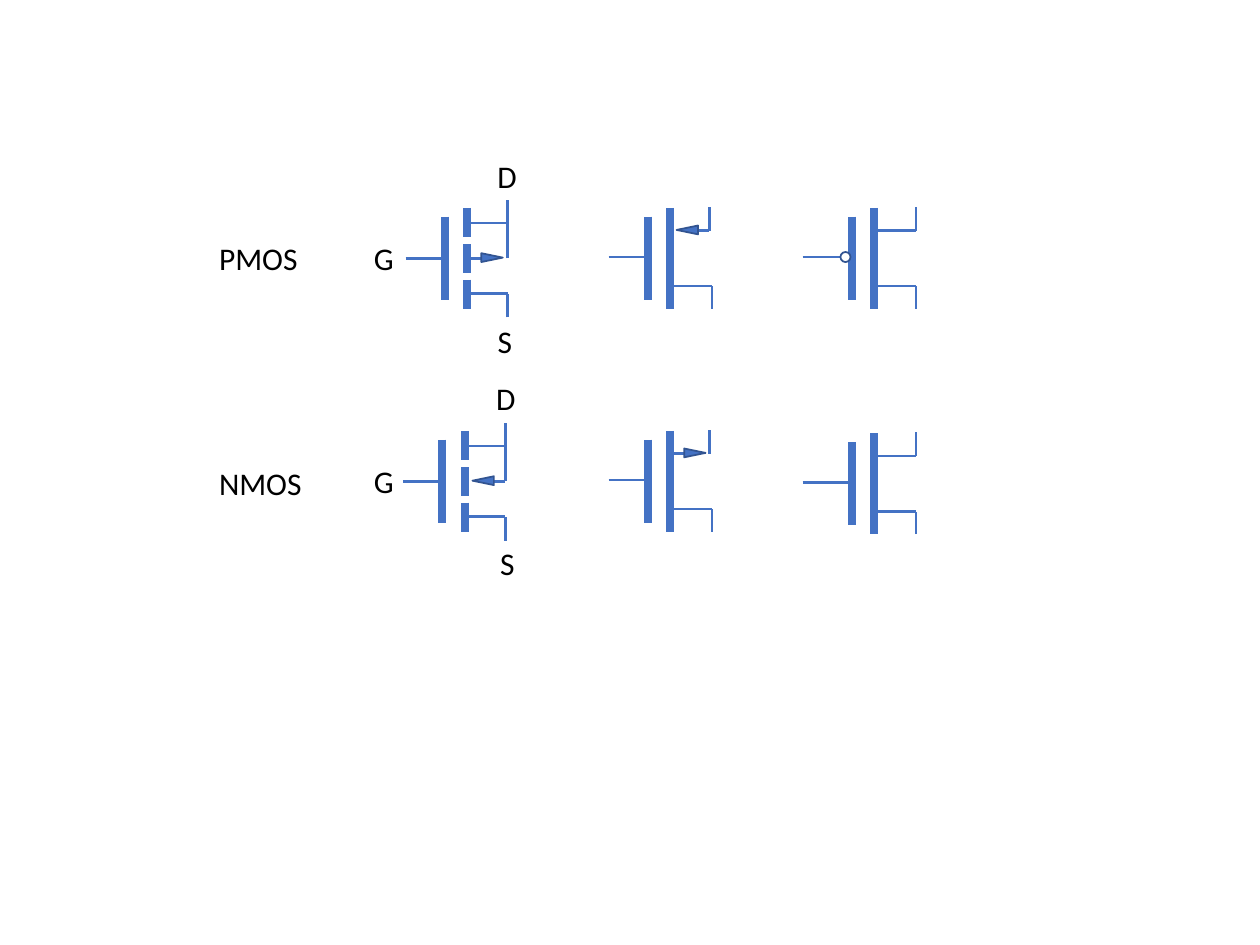
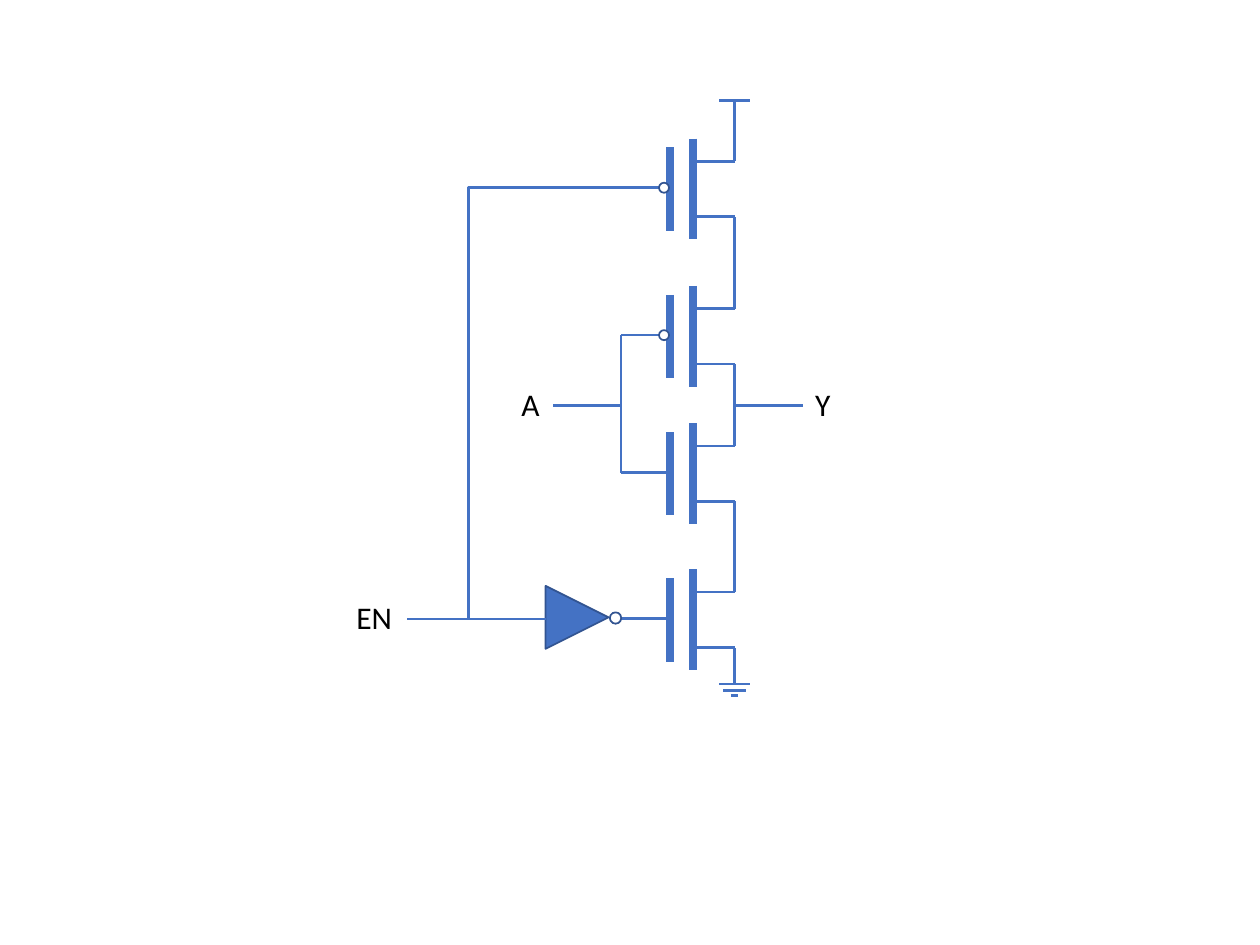
"""Draw MOSFET symbols and a tri-state inverter built from them."""
from dataclasses import dataclass
from typing import Optional

from lxml import etree
from pptx import Presentation
from pptx import util as u
from pptx.dml.color import RGBColor
from pptx.enum import shapes, text
from pptx.oxml.ns import qn

BLUE, EDGE, WHITE, BLACK = "4472C4", "325491", "FFFFFF", "000000"
FONT = "Calibri"
WIRE, BAR, THIN = 1.5, 4.5, 1
GATE_DX, GATE_TOP, GATE_END = -0.18, 0.07, 0.73
CHANNEL = 0.8
LEG_DX, DRAIN_DY, SOURCE_DY, GATE_DY = 0.33, 0.18, 0.62, 0.39
LABEL_HEIGHT = 0.4
RIGHT, LEFT = 90, 270


@dataclass(frozen=True)
class Label:
    """A caption with its left, top and width."""
    words: str
    x: float
    y: float
    width: float


@dataclass(frozen=True)
class Transistor:
    """A MOSFET placed by the top of its channel, with optional lead ends."""
    x: float
    y: float
    p_type: bool
    drain_end: Optional[float] = None
    source_end: Optional[float] = None


SYMBOL_LABELS = (
    Label("D", 3.85, 1.2, 0.36), Label("D", 3.84, 2.96, 0.36),
    Label("S", 3.85, 2.51, 0.32), Label("S", 3.87, 4.27, 0.32),
    Label("G", 2.87, 1.85, 0.36), Label("G", 2.87, 3.62, 0.36),
    Label("PMOS", 1.64, 1.85, 0.83), Label("NMOS", 1.64, 3.63, 0.86),
)
BODY_ARROW = (Transistor(3.71, 1.65, True), Transistor(3.69, 3.42, False))
SOURCE_ARROW = (Transistor(5.32, 1.65, True), Transistor(5.32, 3.42, False))
LOGIC = (Transistor(6.94, 1.65, True), Transistor(6.94, 3.44, False))

SUPPLY, GROUND, RAIL_X = 0.8, 5.43, 5.83
STACK = (
    Transistor(5.5, 1.1, True, SUPPLY, 1.9),
    Transistor(5.5, 2.27, True, 1.72, 3.07),
    Transistor(5.5, 3.36, False, 2.9, 3.98),
    Transistor(5.5, 4.52, False, 3.98, GROUND),
)
PIN_LABELS = (
    Label("EN", 2.73, 4.7, 0.49),
    Label("A", 4.04, 3.01, 0.35),
    Label("Y", 6.37, 3.01, 0.32),
)


def rgb(hex_code: str) -> RGBColor:
    """Turn a hex string into a colour."""
    return RGBColor.from_string(hex_code)


def style_wire(wire, weight: float) -> None:
    """Give a connector its colour and weight and remove its shadow."""
    wire.line.color.rgb = rgb(BLUE)
    wire.line.width = u.Pt(weight)
    etree.SubElement(wire._element.spPr, qn("a:effectLst"))


def draw_line(slide, x1: float, y1: float, x2: float, y2: float,
              weight: float = WIRE) -> None:
    """Draw a straight wire or bar."""
    ends = [u.Inches(value) for value in (x1, y1, x2, y2)]
    style_wire(slide.shapes.add_connector(shapes.MSO_CONNECTOR.STRAIGHT, *ends), weight)


def draw_shape(slide, kind, x: float, y: float, width: float, height: float,
               fill: str, turn: float = 0) -> None:
    """Draw an outlined preset shape."""
    box = [u.Inches(value) for value in (x, y, width, height)]
    shape = slide.shapes.add_shape(kind, *box)
    shape.shadow.inherit = False
    shape.rotation = turn
    shape.fill.solid()
    shape.fill.fore_color.rgb = rgb(fill)
    shape.line.color.rgb = rgb(EDGE)
    shape.line.width = u.Pt(THIN)


def draw_bubble(slide, x: float, y: float, size: float = 0.08) -> None:
    """Draw an inversion bubble."""
    draw_shape(slide, shapes.MSO_SHAPE.OVAL, x, y, size, size, WHITE)


def draw_arrow(slide, x: float, y: float, turn: float) -> None:
    """Draw a small arrowhead turned left or right."""
    draw_shape(slide, shapes.MSO_SHAPE.ISOSCELES_TRIANGLE, x, y, 0.07, 0.17, BLUE, turn)


def draw_label(slide, label: Label) -> None:
    """Write a caption."""
    box = slide.shapes.add_textbox(u.Inches(label.x), u.Inches(label.y),
                                   u.Inches(label.width), u.Inches(LABEL_HEIGHT))
    frame = box.text_frame
    frame.word_wrap = False
    frame.auto_size = text.MSO_AUTO_SIZE.SHAPE_TO_FIT_TEXT
    caption = frame.paragraphs[0]
    caption.text = label.words
    caption.font.name = FONT
    caption.font.size = u.Pt(18)
    caption.font.color.rgb = rgb(BLACK)


def draw_gate(slide, mos: Transistor) -> None:
    """Draw the gate bar."""
    x = mos.x + GATE_DX
    draw_line(slide, x, mos.y + GATE_TOP, x, mos.y + GATE_END, BAR)


def draw_channel(slide, mos: Transistor) -> None:
    """Draw the unbroken channel bar."""
    draw_line(slide, mos.x, mos.y, mos.x, mos.y + CHANNEL, BAR)


def draw_source(slide, mos: Transistor) -> None:
    """Draw the lower leg down to its end."""
    leg, y = mos.x + LEG_DX, mos.y + SOURCE_DY
    end = mos.source_end or mos.y + CHANNEL
    draw_line(slide, mos.x + 0.03, y, leg, y)
    draw_line(slide, leg, end, leg, y)


def draw_body_arrow(slide, mos: Transistor) -> None:
    """Draw a transistor with a broken channel and a body arrow."""
    x, y, leg = mos.x, mos.y, mos.x + 0.32
    drain, body, source = y + 0.12, y + 0.4, y + 0.68
    draw_gate(slide, mos)
    for offset in (0, 0.29, 0.57):
        draw_line(slide, x, y + offset, x, y + offset + 0.23, BAR)
    for level in (drain, source):
        draw_line(slide, x + 0.02, level, leg, level)
    draw_line(slide, leg, body, leg, y - 0.06)
    draw_line(slide, leg, y + 0.87, leg, source)
    draw_line(slide, x - 0.49, body, x - 0.19, body)
    if mos.p_type:
        draw_line(slide, x, body, x + 0.11, body)
        draw_arrow(slide, x + 0.16, y + 0.31, RIGHT)
    else:
        draw_line(slide, x + 0.22, body, leg, body)
        draw_arrow(slide, x + 0.11, y + 0.31, LEFT)


def draw_source_arrow(slide, mos: Transistor) -> None:
    """Draw a transistor with an arrow on its upper leg."""
    x, y, leg, upper = mos.x, mos.y, mos.x + 0.31, mos.y + DRAIN_DY
    draw_gate(slide, mos)
    draw_channel(slide, mos)
    draw_source(slide, mos)
    draw_line(slide, leg, upper, leg, y - 0.01)
    draw_line(slide, x - 0.49, y + GATE_DY, x + GATE_DX, y + GATE_DY)
    if mos.p_type:
        draw_line(slide, x + 0.22, upper, leg, upper)
        draw_arrow(slide, x + 0.1, y + 0.09, LEFT)
    else:
        draw_line(slide, x + 0.03, upper, x + 0.21, upper)
        draw_arrow(slide, x + 0.16, y + 0.09, RIGHT)


def draw_logic(slide, mos: Transistor) -> None:
    """Draw a logic symbol, with a gate bubble when it is p-type."""
    x, y, leg, upper = mos.x, mos.y, mos.x + LEG_DX, mos.y + DRAIN_DY
    gate = y + GATE_DY
    draw_gate(slide, mos)
    draw_channel(slide, mos)
    draw_source(slide, mos)
    draw_line(slide, x, upper, leg, upper)
    draw_line(slide, leg, upper, leg, mos.drain_end or y - 0.01)
    draw_line(slide, x - 0.57, gate, x - (0.27 if mos.p_type else 0.19), gate)
    if mos.p_type:
        draw_bubble(slide, x - 0.27, gate - 0.04)


def draw_enable_bend(slide, x1: float, y1: float, x2: float, y2: float) -> None:
    """Draw an elbow that runs left from its start and then down."""
    width, height = y2 - y1, x1 - x2
    left, top = (x1 + x2 - width) / 2, (y1 + y2 - height) / 2
    box = [u.Inches(value) for value in (left, top, left + width, top + height)]
    bend = slide.shapes.add_connector(shapes.MSO_CONNECTOR.ELBOW, *box)
    properties = bend._element.spPr
    properties.find(qn("a:xfrm")).set("rot", str(90 * 60000))
    adjustments = properties.find(qn("a:prstGeom")).find(qn("a:avLst"))
    etree.SubElement(adjustments, qn("a:gd"), name="adj1", fmla="val 0")
    style_wire(bend, WIRE)


def build_symbols(slide) -> None:
    """Show three notations for PMOS and NMOS."""
    for draw, pair in ((draw_body_arrow, BODY_ARROW),
                       (draw_source_arrow, SOURCE_ARROW), (draw_logic, LOGIC)):
        for mos in pair:
            draw(slide, mos)
    for label in SYMBOL_LABELS:
        draw_label(slide, label)


def build_tristate(slide) -> None:
    """Show the tri-state inverter."""
    for mos in STACK:
        draw_logic(slide, mos)
    enable_p, input_p, input_n, enable_n = (mos.y + GATE_DY for mos in STACK)
    input_x, pin_y = 4.93, 3.22
    draw_line(slide, input_x, input_p, input_x, input_n)
    draw_line(slide, RAIL_X, pin_y, 6.37, pin_y)
    draw_line(slide, 4.39, pin_y, input_x, pin_y)
    for y, half in ((SUPPLY, 0.12), (GROUND, 0.12),
                    (GROUND + 0.05, 0.09), (GROUND + 0.09, 0.03)):
        draw_line(slide, RAIL_X - half, y, RAIL_X + half, y)
    draw_shape(slide, shapes.MSO_SHAPE.ISOSCELES_TRIANGLE, 4.33, 4.65, 0.5, 0.5, BLUE, RIGHT)
    draw_line(slide, 4.33, enable_n, 3.23, enable_n, THIN)
    draw_bubble(slide, 4.84, 4.86, 0.09)
    draw_enable_bend(slide, 4.95, enable_p, 3.72, enable_n)
    for label in PIN_LABELS:
        draw_label(slide, label)


def main() -> None:
    """Build and save the presentation."""
    deck = Presentation()
    deck.slide_width, deck.slide_height = u.Inches(10), u.Inches(7.5)
    for build in (build_symbols, build_tristate):
        build(deck.slides.add_slide(deck.slide_layouts[6]))
    deck.save("out.pptx")


if __name__ == "__main__":
    main()
